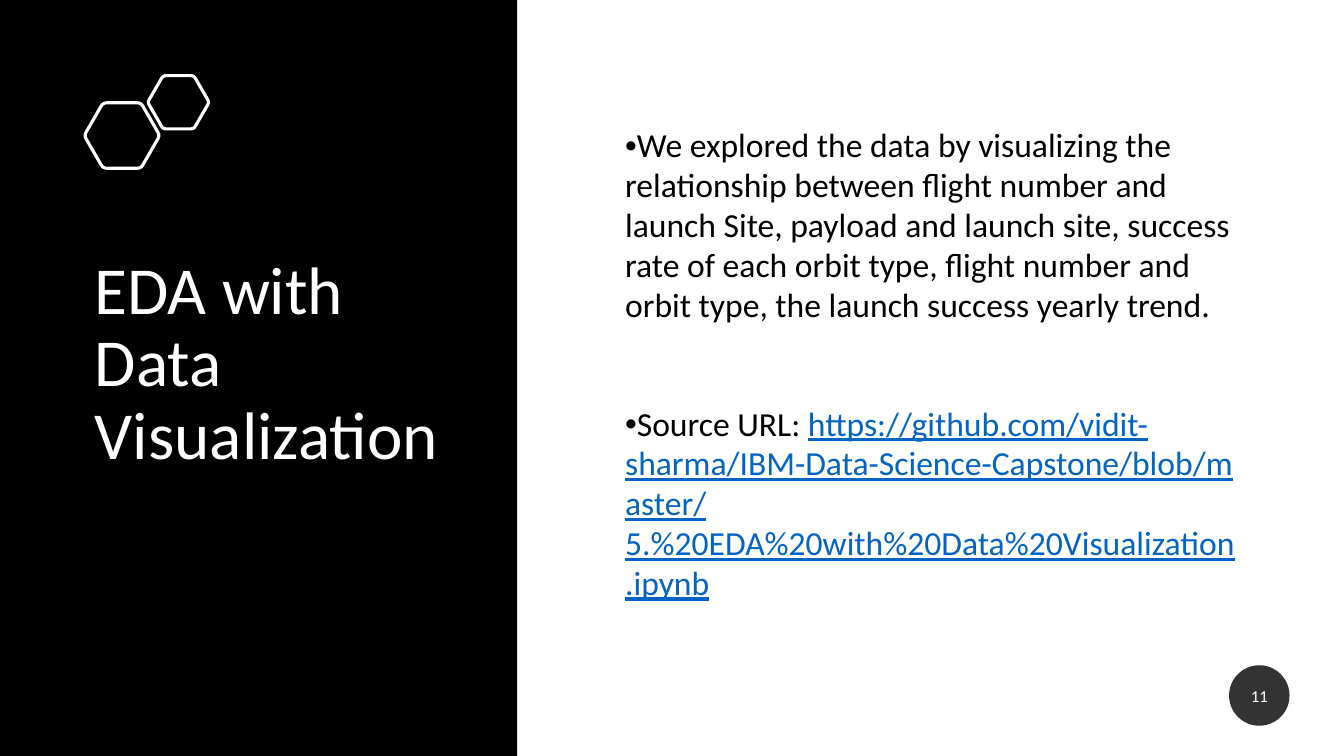
import math
from dataclasses import dataclass

import pptx
import pptx.dml.color
import pptx.enum.shapes
import pptx.enum.text
import pptx.oxml
import pptx.oxml.ns
import pptx.util

Inches = pptx.util.Inches
Pt = pptx.util.Pt
MIDDLE = pptx.enum.text.MSO_ANCHOR.MIDDLE


@dataclass(frozen=True)
class Theme:
    font: str = "Calibri"
    black: str = "000000"
    white: str = "FFFFFF"
    link: str = "0563C1"
    title: float = 48
    body: float = 24
    number: float = 12
    outline: float = 2.25


@dataclass(frozen=True)
class Hexagon:
    x: float
    y: float
    radius: float


THEME = Theme()
HEXAGONS = [Hexagon(1.21, 1.345, 0.375), Hexagon(1.77, 1.015, 0.305)]


def rgb(color: str):
    return pptx.dml.color.RGBColor.from_string(color)


def add_text(p, text: str, *, size: float, color: str, underline: bool = False):
    r = p.add_run()
    r.text = text
    r.font.name = THEME.font
    r.font.size = Pt(size)
    r.font.color.rgb = rgb(color)
    if underline:
        r.font.underline = True
    return r


def place(sp, left: float, top: float, width: float, height: float):
    sp.left, sp.top = Inches(left), Inches(top)
    sp.width, sp.height = Inches(width), Inches(height)
    tf = sp.text_frame
    tf.word_wrap = True
    tf.auto_size = pptx.enum.text.MSO_AUTO_SIZE.NONE
    tf.vertical_anchor = MIDDLE
    return tf


def add_solid(s, kind, left: float, top: float, width: float, height: float):
    sp = s.shapes.add_shape(kind, Inches(left), Inches(top), Inches(width), Inches(height))
    sp.shadow.inherit = False
    sp.fill.solid()
    sp.fill.fore_color.rgb = rgb(THEME.black)
    sp.line.fill.background()
    return sp


def rounded_outline(h: Hexagon, cut: float = 0.1) -> list[tuple[int, int]]:
    corners = [
        (h.x + h.radius * math.cos(math.radians(a)), h.y + h.radius * math.sin(math.radians(a)))
        for a in range(0, 360, 60)
    ]
    points = []
    for i, corner in enumerate(corners):
        before, after = corners[i - 1], corners[(i + 1) % 6]
        for t in (0, 0.25, 0.5, 0.75, 1):
            a, b = cut * (1 - t) ** 2, cut * t ** 2
            points.append(tuple(
                Inches(c + a * (p - c) + b * (n - c))
                for c, p, n in zip(corner, before, after)
            ))
    return points


def add_hexagon(s, h: Hexagon) -> None:
    points = rounded_outline(h)
    builder = s.shapes.build_freeform(*points[0], scale=1.0)
    builder.add_line_segments(points[1:], close=True)
    sp = builder.convert_to_shape()
    sp.shadow.inherit = False
    sp.fill.background()
    sp.line.color.rgb = rgb(THEME.white)
    sp.line.width = Pt(THEME.outline)


def add_bullet(p) -> None:
    pPr = p._p.get_or_add_pPr()
    pPr.set("marL", "0")
    pPr.set("indent", "0")
    bullet = pptx.oxml.parse_xml(f'<a:buChar {pptx.oxml.ns.nsdecls("a")} char="•"/>')
    pPr.append(bullet)
    p.line_spacing = 0.99
    p.space_before = Pt(0)
    p.space_after = Pt(0)


def main() -> None:
    prs = pptx.Presentation()
    prs.slide_width, prs.slide_height = Inches(13.33), Inches(7.5)
    s = prs.slides.add_slide(prs.slide_layouts[1])
    kinds = pptx.enum.shapes.MSO_SHAPE

    panel = add_solid(s, kinds.RECTANGLE, 0, 0, 5.13, 7.5)
    s.shapes._spTree.remove(panel._element)
    s.shapes._spTree.insert(2, panel._element)
    for h in HEXAGONS:
        add_hexagon(s, h)

    p = place(s.shapes.title, 0.84, 1.28, 3.92, 4.68).paragraphs[0]
    p.alignment = pptx.enum.text.PP_ALIGN.LEFT
    p.line_spacing = 0.9
    add_text(p, "EDA with Data Visualization", size=THEME.title, color=THEME.white)

    tf = place(s.placeholders[1], 6.1, 1.28, 6.25, 4.68)
    p = tf.paragraphs[0]
    add_bullet(p)
    add_text(
        p,
        "We explored the data by visualizing the relationship between flight number and "
        "launch Site, payload and launch site, success rate of each orbit type, flight "
        "number and orbit type, the launch success yearly trend.",
        size=THEME.body, color=THEME.black,
    )
    p = tf.add_paragraph()
    add_bullet(p)
    p.space_before = Pt(56)
    add_text(p, "Source URL: ", size=THEME.body, color=THEME.black)
    add_text(
        p,
        "https://github.com/vidit-sharma/IBM-Data-Science-Capstone/blob/master/"
        "5.%20EDA%20with%20Data%20Visualization.ipynb",
        size=THEME.body, color=THEME.link, underline=True,
    )

    badge = add_solid(s, kinds.OVAL, 12.19, 6.6, 0.6, 0.6)
    clr = badge.fill._xPr.find(".//" + pptx.oxml.ns.qn("a:srgbClr"))
    clr.append(pptx.oxml.parse_xml(f'<a:alpha {pptx.oxml.ns.nsdecls("a")} val="80000"/>'))
    tf = badge.text_frame
    tf.vertical_anchor = MIDDLE
    p = tf.paragraphs[0]
    p.alignment = pptx.enum.text.PP_ALIGN.CENTER
    add_text(p, "11", size=THEME.number, color=THEME.white)

    prs.save("out.pptx")


if __name__ == "__main__":
    main()
